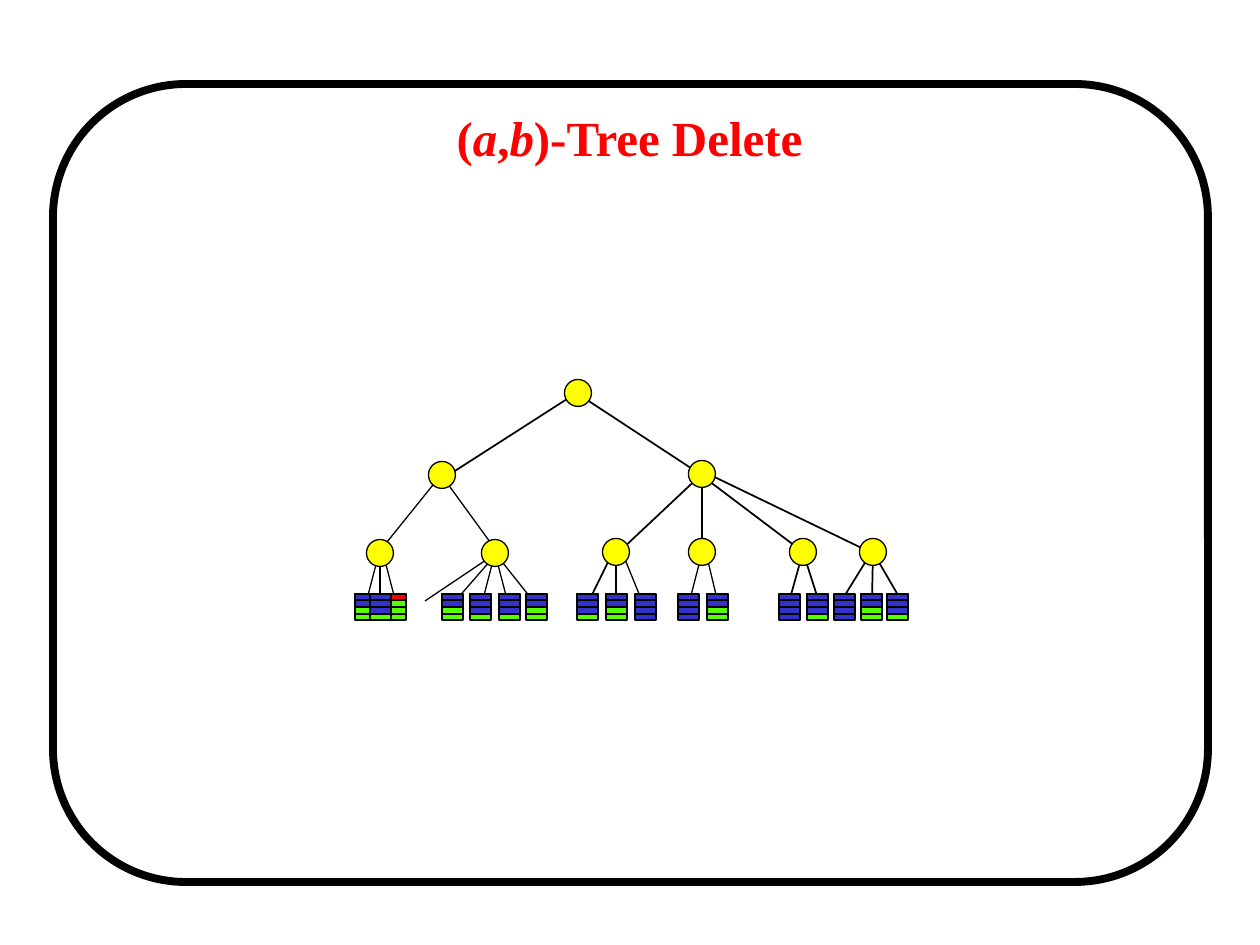
from pptx import Presentation
from pptx import util as u
from pptx.dml.color import RGBColor
from pptx.enum import shapes, text
from lxml import etree

COLORS = {
    "ink": "000000",
    "title": "FF0000",
    "node": "FFFF00",
    "free": "57FF03",
    "used": "3333CC",
    "deleted": "FF0000",
}
FONT = "Times New Roman"
PX_PER_INCH = 126
NODE_SIZE = 27
LEAF_WIDTH, LEAF_TOP, LEAF_HEIGHT, LEAF_ROWS = 21, 594, 26, 4

# Centres of the inner nodes
NODES = [
    (578, 393),
    (442, 475), (702, 474),
    (380, 553), (495, 553),
    (616, 552), (702, 552), (803, 552), (873, 552),
]

# Edges between inner nodes: start, end, line width
BRANCHES = [
    ((578, 392), (444, 478), 1),
    ((575, 392), (706, 478), 1),
    ((441, 475), (379, 552), 0.75),
    ((442, 476), (498, 553), 0.75),
    ((703, 473), (619, 552), 1),
    ((702, 473), (702, 552), 1),
    ((701, 475), (803, 552), 1),
    ((702, 471), (872, 553), 1),
]

# Edges to the leaves: start, x of each end, y of the ends, line width
TWIGS = [
    ((379, 553), [365], 607, 0.75),
    ((380, 552), [380], 597, 0.75),
    ((383, 553), [397], 607, 0.75),
    ((498, 552), [450], 607, 0.75),
    ((495, 553), [481, 509, 538], 607, 0.75),
    ((495, 554), [425], 601, 0.75),
    ((613, 552), [587], 605, 1),
    ((616, 552), [616], 606, 0.75),
    ((624, 557), [644], 606, 0.75),
    ((702, 553), [688], 607, 0.75),
    ((706, 553), [719], 607, 0.75),
    ((803, 552), [789, 819], 602, 1),
    ((871, 553), [842], 600, 1),
    ((873, 552), [872, 902], 602, 1),
]

# Leaves: left edge, number of filled rows, colour of those rows
LEAVES = [
    (385, 1, "deleted"), (355, 2, "used"), (370, 3, "used"),
    (442, 2, "used"), (470, 3, "used"), (499, 3, "used"), (526, 2, "used"),
    (577, 3, "used"), (606, 2, "used"), (635, 4, "used"),
    (678, 4, "used"), (707, 2, "used"),
    (779, 4, "used"), (807, 3, "used"),
    (834, 4, "used"), (861, 2, "used"), (887, 3, "used"),
]


def px(length):
    return u.Emu(round(length * 914400 / PX_PER_INCH))


def color(name):
    return RGBColor.from_string(COLORS[name])


def add_shape(page, kind, left, top, width, height, fill=None, line=1):
    shape = page.shapes.add_shape(kind, px(left), px(top), px(width), px(height))
    shape.shadow.inherit = False
    if fill:
        shape.fill.solid()
        shape.fill.fore_color.rgb = color(fill)
    else:
        shape.fill.background()
    shape.line.color.rgb = color("ink")
    shape.line.width = u.Pt(line)


def add_line(page, start, end, width):
    line = page.shapes.add_connector(
        shapes.MSO_CONNECTOR.STRAIGHT, *map(px, start), *map(px, end))
    line.line.color.rgb = color("ink")
    line.line.width = u.Pt(width)
    properties = line._element.spPr
    etree.SubElement(properties, f"{{{DRAWINGML}}}effectLst")


DRAWINGML = "http://schemas.openxmlformats.org/drawingml/2006/main"


def add_node(page, center):
    x, y = center
    half = NODE_SIZE / 2
    add_shape(page, shapes.MSO_SHAPE.OVAL, x - half, y - half,
              NODE_SIZE, NODE_SIZE, "node", 0.75)


def add_leaf(page, left, filled, fill):
    row = LEAF_HEIGHT / LEAF_ROWS
    rectangle = shapes.MSO_SHAPE.RECTANGLE
    if filled < LEAF_ROWS:
        add_shape(page, rectangle, left, LEAF_TOP, LEAF_WIDTH, LEAF_HEIGHT, "free")
    add_shape(page, rectangle, left, LEAF_TOP, LEAF_WIDTH, round(filled * row), fill)
    for index in range(1, LEAF_ROWS):
        if index != filled:
            y = LEAF_TOP + round(index * row)
            add_line(page, (left, y), (left + LEAF_WIDTH, y), 1)


def add_title(page, spans):
    box = page.shapes.add_textbox(px(94), px(95), px(1071), px(84))
    frame = box.text_frame
    frame.word_wrap = True
    frame.vertical_anchor = text.MSO_ANCHOR.MIDDLE
    para = frame.paragraphs[0]
    para.alignment = text.PP_ALIGN.CENTER
    for words, italic in spans:
        span = para.add_run()
        span.text = words
        span.font.name = FONT
        span.font.size = u.Pt(28)
        span.font.bold = True
        span.font.italic = italic
        span.font.color.rgb = color("title")


def main():
    deck = Presentation()
    deck.slide_width, deck.slide_height = px(1260), px(945)
    page = deck.slides.add_slide(deck.slide_layouts[6])

    # Frame and title
    add_shape(page, shapes.MSO_SHAPE.FLOWCHART_ALTERNATE_PROCESS,
              53, 84, 1155, 798, line=4.5)
    add_title(page, [("(", False), ("a", True), (",", False), ("b", True),
                     (")-Tree Delete", False)])

    # Edges lie behind nodes and leaves
    for start, end, width in BRANCHES:
        add_line(page, start, end, width)
    for start, ends, bottom, width in TWIGS:
        for x in ends:
            add_line(page, start, (x, bottom), width)

    # Nodes and leaves
    for center in NODES:
        add_node(page, center)
    for left, filled, fill in LEAVES:
        add_leaf(page, left, filled, fill)

    deck.save("out.pptx")


if __name__ == "__main__":
    main()
